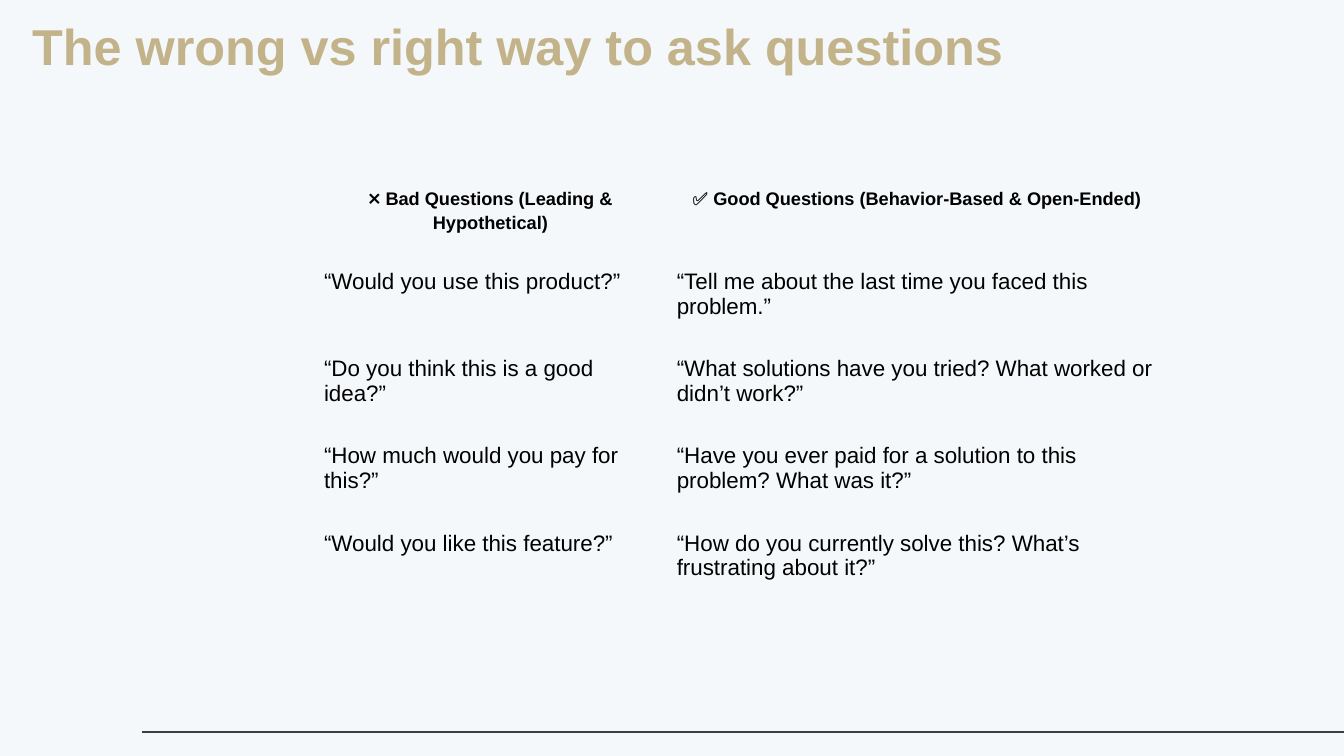
"""Build a slide that contrasts bad and good interview questions."""
from dataclasses import dataclass

from lxml import etree
from pptx import Presentation
from pptx import util as u
from pptx.dml.color import RGBColor
from pptx.enum import shapes, text
from pptx.oxml import ns

NO_GRID_STYLE = "{2D5ABB26-0587-4C30-8999-92F81FD0307C}"
QUESTIONS = [
    ("❌ Bad Questions (Leading & Hypothetical)",
     "✅ Good Questions (Behavior-Based & Open-Ended)"),
    ("“Would you use this product?”",
     "“Tell me about the last time you faced this problem.”"),
    ("“Do you think this is a good idea?”",
     "“What solutions have you tried? What worked or didn’t work?”"),
    ("“How much would you pay for this?”",
     "“Have you ever paid for a solution to this problem? What was it?”"),
    ("“Would you like this feature?”",
     "“How do you currently solve this? What’s frustrating about it?”"),
]


@dataclass(frozen=True)
class Theme:
    """Colours, font and type sizes."""
    font: str = "Arial"
    background: str = "F5F8FA"
    title: str = "C3B38A"
    body: str = "000000"
    rule: str = "3E3E3E"
    title_size: int = 36
    header_size: int = 13
    body_size: int = 16


def px(length):
    """Turn px into EMU at 96 px to the inch."""
    return u.Emu(length * 9525)


class SlideBuilder:
    """Hold the theme and the current slide."""

    def __init__(self, slide, theme):
        self.slide = slide
        self.theme = theme
        fill = slide.background.fill
        fill.solid()
        fill.fore_color.rgb = RGBColor.from_string(theme.background)

    def style(self, paragraph, size, color, bold, align, spacing):
        """Format one paragraph."""
        paragraph.alignment = align
        paragraph.line_spacing = spacing
        font = paragraph.font
        font.name = self.theme.font
        font.size = u.Pt(size)
        font.bold = bold
        font.color.rgb = RGBColor.from_string(color)

    def title(self, wording, left, top, width, height):
        """Move and format the title placeholder."""
        shape = self.slide.shapes.title
        shape.left, shape.top = px(left), px(top)
        shape.width, shape.height = px(width), px(height)
        frame = shape.text_frame
        frame.text = wording
        frame.word_wrap = True
        frame.auto_size = text.MSO_AUTO_SIZE.NONE
        frame.vertical_anchor = text.MSO_ANCHOR.TOP
        paragraph = frame.paragraphs[0]
        paragraph.space_before = u.Pt(0)
        self.style(paragraph, self.theme.title_size, self.theme.title,
                   True, text.PP_ALIGN.LEFT, 0.9)

    def rule(self, left, right, y):
        """Draw a thin horizontal line."""
        line = self.slide.shapes.add_connector(
            shapes.MSO_CONNECTOR.STRAIGHT, px(left), px(y), px(right), px(y))
        line.line.width = u.Pt(1)
        line.line.color.rgb = RGBColor.from_string(self.theme.rule)
        etree.SubElement(line._element.spPr, ns.qn("a:effectLst"))

    def table(self, rows, left, top, widths, heights):
        """Add a plain table whose first row is a centred header."""
        table = self.slide.shapes.add_table(
            len(rows), len(widths), px(left), px(top),
            px(sum(widths)), px(sum(heights))).table
        table.horz_banding = False
        table._tbl.tblPr.find(ns.qn("a:tableStyleId")).text = NO_GRID_STYLE
        for column, width in zip(table.columns, widths):
            column.width = px(width)
        for index, (row, height) in enumerate(zip(table.rows, heights)):
            row.height = px(height)
            for cell, wording in zip(row.cells, rows[index]):
                self.cell(cell, wording, index == 0)

    def cell(self, cell, wording, header):
        """Fill and format one table cell."""
        cell.text = wording
        cell.fill.background()
        cell.vertical_anchor = text.MSO_ANCHOR.TOP
        cell.margin_left = cell.margin_right = u.Inches(0.1)
        cell.margin_top = cell.margin_bottom = u.Inches(0.1)
        size = self.theme.header_size if header else self.theme.body_size
        align = text.PP_ALIGN.CENTER if header else text.PP_ALIGN.LEFT
        self.style(cell.text_frame.paragraphs[0], size, self.theme.body,
                   header, align, 1.15 if header else 1.0)


def main():
    """Build and save the slide."""
    presentation = Presentation()
    presentation.slide_width, presentation.slide_height = px(1280), px(720)
    slide = presentation.slides.add_slide(presentation.slide_layouts[5])
    builder = SlideBuilder(slide, Theme())
    builder.rule(135, 1280, 697)
    builder.title("The wrong vs right way to ask questions", 21, 16, 1096, 56)
    builder.table(QUESTIONS, 299, 168, [336, 476], [79] + [83] * 4)
    presentation.save("out.pptx")


if __name__ == "__main__":
    main()
